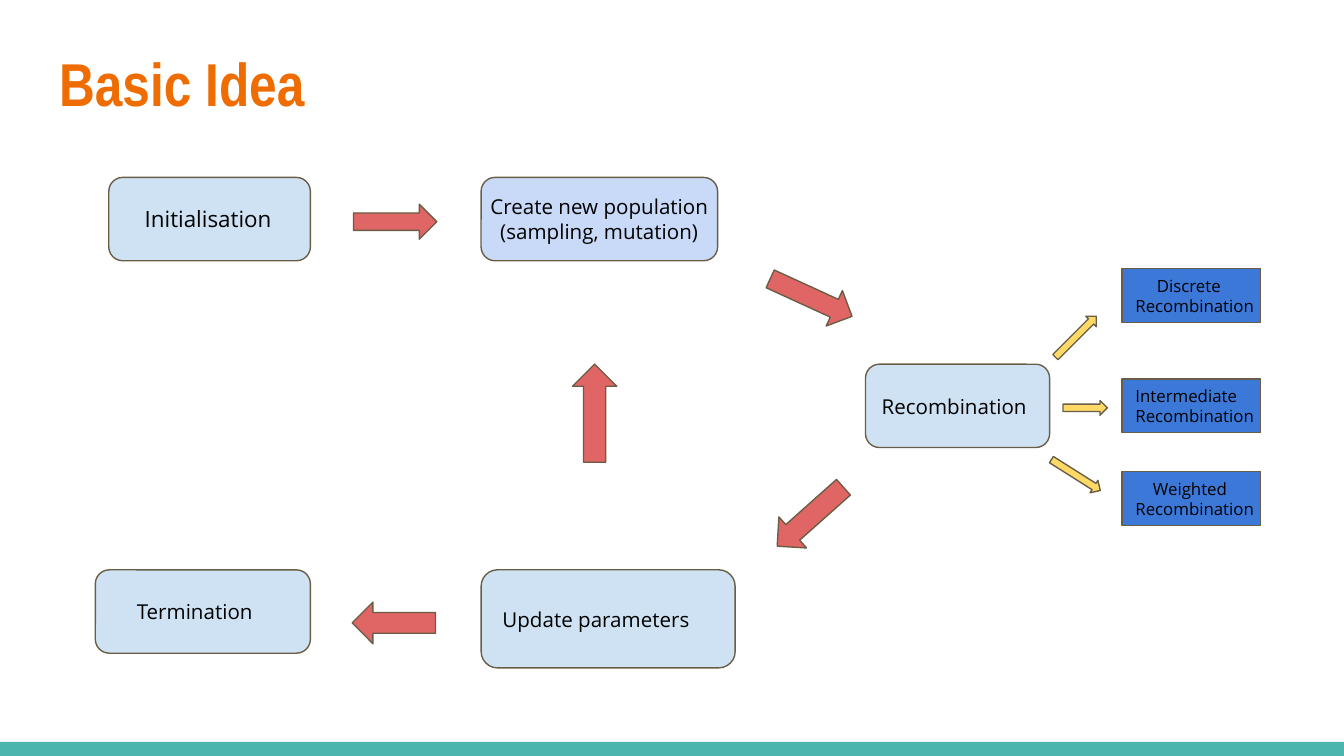
from pptx import Presentation
from pptx.dml.color import RGBColor
from pptx.enum import shapes, text
from pptx.util import Inches, Pt

COLORS = {
    "title": "EF6C00", "bar": "4DB6AC", "outline": "695D46", "text": "000000",
    "step": "CFE2F3", "population": "C9DAF8", "variant": "3C78D8",
    "flow": "E06666", "branch": "FFD966",
}
KIND = shapes.MSO_SHAPE
CENTER, LEFT = text.PP_ALIGN.CENTER, text.PP_ALIGN.LEFT

# Widescreen 16:9 slide
presentation = Presentation()
presentation.slide_width = Inches(10)
presentation.slide_height = Inches(10) * 9 // 16
slide = presentation.slides.add_slide(presentation.slide_layouts[5])


def add_shape(kind, left, top, width, height, fill, outlined=True):
    shape = slide.shapes.add_shape(
        kind, Inches(left), Inches(top), Inches(width), Inches(height))
    shape.shadow.inherit = False
    shape.fill.solid()
    shape.fill.fore_color.rgb = RGBColor.from_string(COLORS[fill])
    if outlined:
        shape.line.color.rgb = RGBColor.from_string(COLORS["outline"])
        shape.line.width = Pt(0.75)
    else:
        shape.line.fill.background()
    return shape


def write(shape, words, size, color, font_name, align, left=0.0, right=0.0):
    frame = shape.text_frame
    frame.word_wrap = True
    frame.auto_size = text.MSO_AUTO_SIZE.NONE
    frame.vertical_anchor = text.MSO_ANCHOR.MIDDLE
    frame.margin_left, frame.margin_right = Inches(left), Inches(right)
    frame.margin_top = frame.margin_bottom = 0
    frame.text = words
    for paragraph in frame.paragraphs:
        paragraph.alignment = align
        for run in paragraph.runs:
            run.font.size = Pt(size)
            run.font.name = font_name
            run.font.color.rgb = RGBColor.from_string(COLORS[color])


# Footer bar
add_shape(KIND.RECTANGLE, 0, 5.52, 10, 0.11, "bar", outlined=False)

# Title
title = slide.shapes.title
title.left, title.top = Inches(0.34), Inches(0.23)
title.width, title.height = Inches(9.32), Inches(0.77)
write(title, "Basic Idea", 32.4, "title", "Arial Narrow", LEFT, 0.1, 0.1)
title.text_frame.paragraphs[0].runs[0].font.bold = True

# Steps of the cycle: words, left, top, width, height, fill, size, right inset
steps = [
    ("Initialisation", 0.81, 1.32, 1.5, 0.62, "step", 12, 0.02),
    ("Create new population\n(sampling, mutation)",
     3.58, 1.32, 1.76, 0.62, "population", 11, 0),
    ("Recombination", 6.44, 2.71, 1.37, 0.62, "step", 11, 0.05),
    ("Update parameters", 3.58, 4.24, 1.89, 0.73, "step", 11, 0.18),
    ("Termination", 0.71, 4.24, 1.6, 0.62, "step", 11, 0.12),
]
for words, left, top, width, height, fill, size, right in steps:
    step = add_shape(KIND.ROUNDED_RECTANGLE, left, top, width, height, fill)
    write(step, words, size, "text", "Open Sans", CENTER, right=right)

# Recombination variants: words, top, first-line indent
variants = [("Discrete Recombination", 2, 0.16),
            ("Intermediate\nRecombination", 2.82, 0),
            ("Weighted\nRecombination", 3.51, 0.13)]
for words, top, indent in variants:
    variant = add_shape(KIND.RECTANGLE, 8.35, top, 1.03, 0.4, "variant")
    write(variant, words, 9, "text", "Open Sans", LEFT, 0.1, 0.02)
    first_line = variant.text_frame.paragraphs[0]
    first_line._p.get_or_add_pPr().set("indent", str(Inches(indent)))

# Block arrows: kind, left, top, width, height, rotation, fill
arrows = [
    (KIND.RIGHT_ARROW, 2.63, 1.52, 0.62, 0.26, 0, "flow"),
    (KIND.RIGHT_ARROW, 5.7, 2.07, 0.67, 0.29, 24.6, "flow"),
    (KIND.LEFT_ARROW, 5.7, 3.69, 0.66, 0.31, 318.3, "flow"),
    (KIND.UP_ARROW, 4.26, 2.71, 0.33, 0.73, 0, "flow"),
    (KIND.LEFT_ARROW, 2.62, 4.48, 0.62, 0.31, 0, "flow"),
    (KIND.RIGHT_ARROW, 7.79, 2.45, 0.43, 0.11, 315, "branch"),
    (KIND.RIGHT_ARROW, 7.91, 2.98, 0.33, 0.11, 0, "branch"),
    (KIND.RIGHT_ARROW, 7.79, 3.48, 0.43, 0.11, 32.3, "branch"),
]
for kind, left, top, width, height, rotation, fill in arrows:
    arrow = add_shape(kind, left, top, width, height, fill)
    arrow.rotation = rotation

presentation.save("out.pptx")
